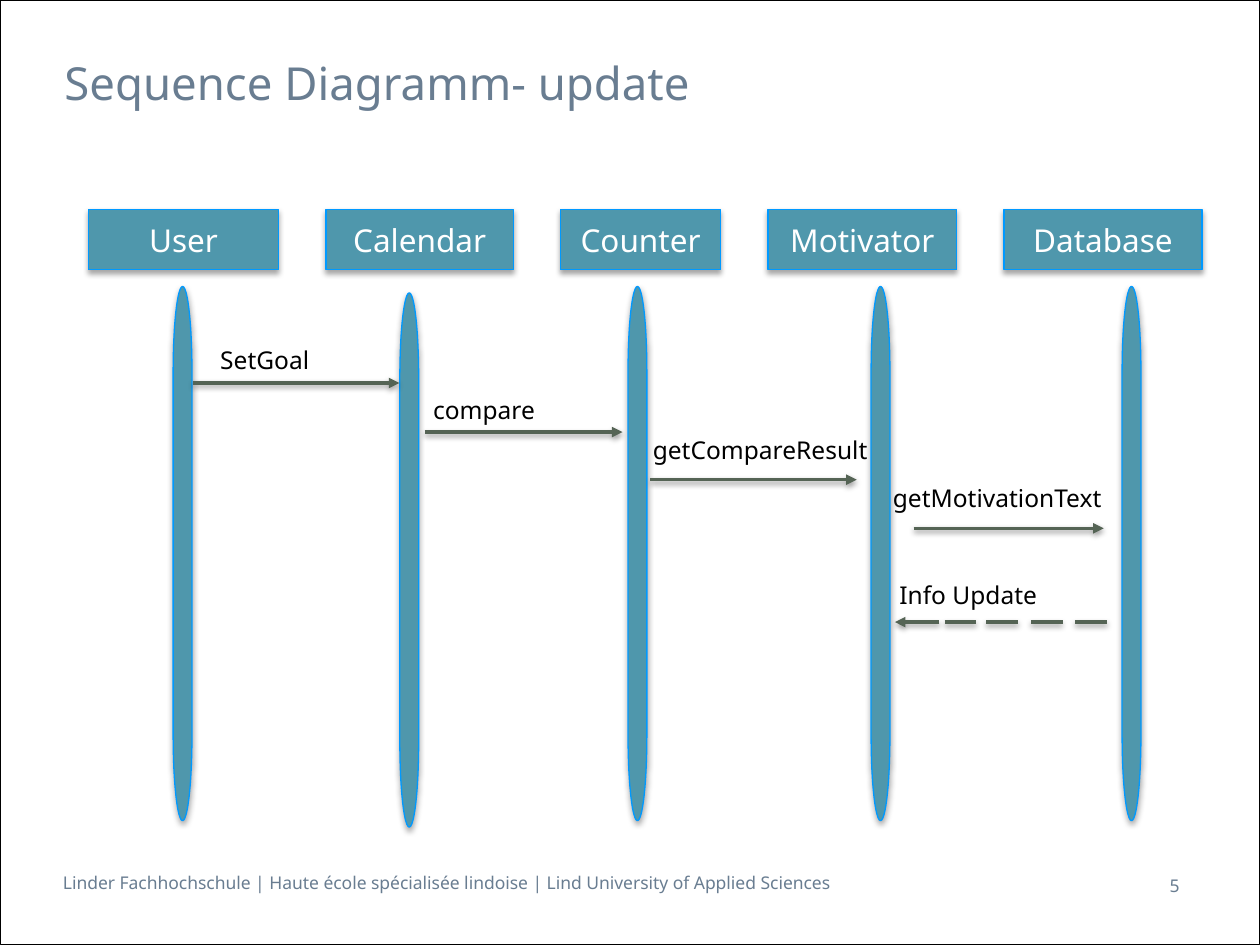
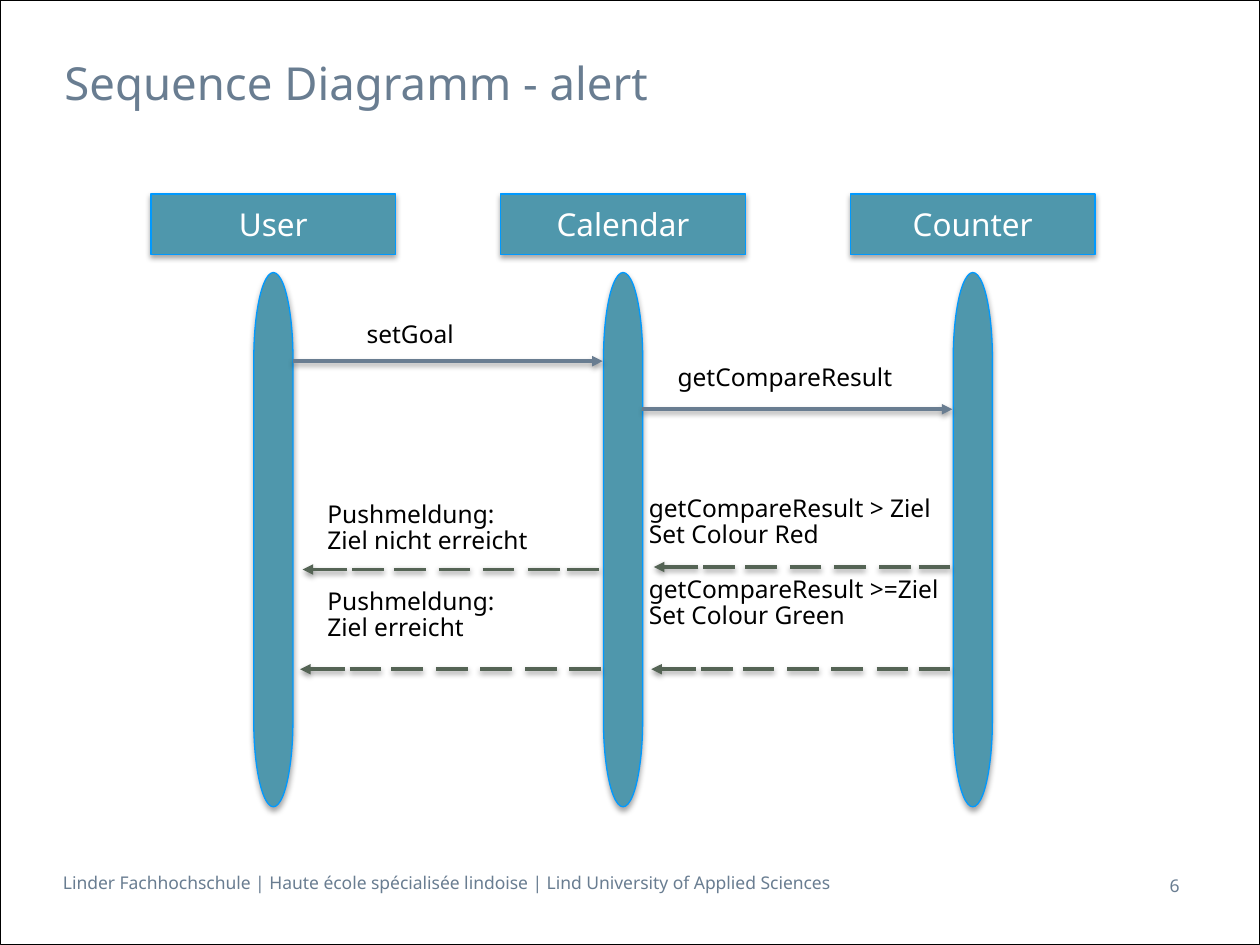
"""Build two sequence diagram slides, one for the update and one for the alert."""
from dataclasses import dataclass
from typing import Optional

from lxml import etree
from pptx import Presentation
from pptx import util as u
from pptx.dml.color import RGBColor
from pptx.enum import shapes, text
from pptx.oxml import ns

SLATE = RGBColor(0x69, 0x7D, 0x91)
TEAL = RGBColor(0x4F, 0x97, 0xAC)
BRIGHT_BLUE = RGBColor(0x00, 0x99, 0xFF)
MOSS = RGBColor(0x55, 0x64, 0x55)
BLACK = RGBColor(0x00, 0x00, 0x00)
WHITE = RGBColor(0xFF, 0xFF, 0xFF)

FONT = "Noto Sans"
FOOTER = ("Linder Fachhochschule | Haute école spécialisée lindoise | "
          "Lind University of Applied Sciences")
PAGE_WIDTH, PAGE_HEIGHT = 25.4, 19.05
HEADER_HEIGHT = 1.22
LIFELINE_LENGTH = 10.77
TIGHT = 0.89
ARROW_LENGTH, DASH_LENGTH = 0.9, 0.64
DASH_OFFSETS = (1.0, 1.84, 2.74, 3.63, 4.54)


@dataclass(frozen=True)
class Participant:
    name: str
    left: float
    width: float
    axis: float
    middle: float


@dataclass(frozen=True)
class Call:
    start: float
    end: float
    y: float


@dataclass(frozen=True)
class Reply:
    tip: float
    y: float
    last_dash: Optional[float] = None
    dashes: int = 5


@dataclass(frozen=True)
class Label:
    lines: tuple[str, ...]
    left: float
    top: float
    width: float


@dataclass(frozen=True)
class Diagram:
    title: str
    number: int
    header_top: float
    thickness: float
    call_colour: RGBColor
    participants: tuple[Participant, ...]
    calls: tuple[Call, ...]
    replies: tuple[Reply, ...]
    labels: tuple[Label, ...]


def write(frame, lines: tuple[str, ...], size: float, colour: RGBColor,
          align=text.PP_ALIGN.LEFT, spacing: float = 1.0) -> None:
    """Write each line as a formatted paragraph."""
    frame.word_wrap = True
    for index, line in enumerate(lines):
        paragraph = frame.add_paragraph() if index else frame.paragraphs[0]
        paragraph.alignment = align
        paragraph.line_spacing = spacing
        run = paragraph.add_run()
        run.text = line
        run.font.size = u.Pt(size)
        run.font.name = FONT
        run.font.color.rgb = colour


def add_shadow(effects, distance: int, opacity: int) -> None:
    """Put a soft downward shadow into an effect list."""
    shadow = etree.SubElement(effects, ns.qn("a:outerShdw"), blurRad="40000",
                              dist=str(distance), dir="5400000", rotWithShape="0")
    colour = etree.SubElement(shadow, ns.qn("a:srgbClr"), val=str(BLACK))
    etree.SubElement(colour, ns.qn("a:alpha"), val=str(opacity * 1000))


def add_block(slide, kind, left: float, top: float, width: float, height: float):
    """Add a teal shape with a bright outline and a shadow."""
    block = slide.shapes.add_shape(kind, u.Cm(left), u.Cm(top), u.Cm(width), u.Cm(height))
    block.fill.solid()
    block.fill.fore_color.rgb = TEAL
    block.line.color.rgb = BRIGHT_BLUE
    block.line.width = u.Pt(0.75)
    block.shadow.inherit = False
    add_shadow(block._element.spPr.find(ns.qn("a:effectLst")), 23000, 35)
    return block


def add_stroke(slide, start: float, end: float, y: float, colour: RGBColor,
               arrow: bool = False) -> None:
    """Draw a horizontal stroke, with an arrowhead at its end if asked."""
    stroke = slide.shapes.add_connector(shapes.MSO_CONNECTOR.STRAIGHT,
                                        u.Cm(start), u.Cm(y), u.Cm(end), u.Cm(y))
    stroke.line.color.rgb = colour
    stroke.line.width = u.Pt(2)
    if arrow:
        etree.SubElement(stroke.line._get_or_add_ln(), ns.qn("a:tailEnd"), type="triangle")
    add_shadow(etree.SubElement(stroke._element.spPr, ns.qn("a:effectLst")), 20000, 38)


def add_participant(slide, participant: Participant, top: float, thickness: float) -> None:
    """Draw a participant's header and its lifeline."""
    header = add_block(slide, shapes.MSO_SHAPE.RECTANGLE, participant.left, top,
                       participant.width, HEADER_HEIGHT)
    header.text_frame.vertical_anchor = text.MSO_ANCHOR.MIDDLE
    write(header.text_frame, (participant.name,), 18, WHITE, text.PP_ALIGN.CENTER)
    lifeline = add_block(slide, shapes.MSO_SHAPE.FLOWCHART_TERMINATOR,
                         participant.axis - LIFELINE_LENGTH / 2,
                         participant.middle - thickness / 2, LIFELINE_LENGTH, thickness)
    lifeline.rotation = 90


def add_reply(slide, reply: Reply) -> None:
    """Draw a dashed reply that points left."""
    starts = [reply.tip + offset for offset in DASH_OFFSETS[:reply.dashes]]
    if reply.last_dash is not None:
        starts.append(reply.last_dash)
    for start in starts:
        add_stroke(slide, start, start + DASH_LENGTH, reply.y, MOSS)
    add_stroke(slide, reply.tip + ARROW_LENGTH, reply.tip, reply.y, MOSS, arrow=True)


def add_label(slide, label: Label) -> None:
    """Add the text of a message."""
    height = 0.25 + 0.6 * len(label.lines)
    box = slide.shapes.add_textbox(u.Cm(label.left), u.Cm(label.top),
                                   u.Cm(label.width), u.Cm(height))
    box.text_frame.auto_size = text.MSO_AUTO_SIZE.SHAPE_TO_FIT_TEXT
    write(box.text_frame, label.lines, 14, BLACK, spacing=TIGHT)


def add_page(slide, title: str, number: int) -> None:
    """Add the frame, title, footer and page number."""
    border = slide.shapes.add_shape(shapes.MSO_SHAPE.RECTANGLE, 0, 0,
                                    u.Cm(PAGE_WIDTH), u.Cm(PAGE_HEIGHT))
    border.fill.background()
    border.line.color.rgb = BLACK
    border.line.width = u.Pt(0.5)
    border.shadow.inherit = False

    heading = slide.shapes.title
    heading.left, heading.top = u.Cm(1.3), u.Cm(0.99)
    heading.width, heading.height = u.Cm(22.5), u.Cm(1.5)
    heading.text_frame.vertical_anchor = text.MSO_ANCHOR.TOP
    heading.text_frame.auto_size = text.MSO_AUTO_SIZE.NONE
    write(heading.text_frame, (title,), 26, SLATE)

    footer = slide.shapes.add_textbox(u.Cm(1.27), u.Cm(17.5), u.Cm(18.57), u.Cm(0.69))
    write(footer.text_frame, (FOOTER,), 10, SLATE, spacing=TIGHT)
    page = slide.shapes.add_textbox(u.Cm(18.8), u.Cm(17.35), u.Cm(4.98), u.Cm(1.02))
    page.text_frame.vertical_anchor = text.MSO_ANCHOR.MIDDLE
    write(page.text_frame, (str(number),), 10, SLATE, text.PP_ALIGN.RIGHT)
    for part in (heading, footer):
        part.text_frame.margin_left = 0
    for part in (heading, footer, page):
        part.text_frame.margin_right = 0


def add_diagram(deck, diagram: Diagram) -> None:
    """Add one slide with its sequence diagram."""
    slide = deck.slides.add_slide(deck.slide_layouts[5])
    add_page(slide, diagram.title, diagram.number)
    for participant in diagram.participants:
        add_participant(slide, participant, diagram.header_top, diagram.thickness)
    for call in diagram.calls:
        add_stroke(slide, call.start, call.end, call.y, diagram.call_colour, arrow=True)
    for reply in diagram.replies:
        add_reply(slide, reply)
    for label in diagram.labels:
        add_label(slide, label)


def update_participants() -> tuple[Participant, ...]:
    """Place headers of differing widths with equal gaps."""
    left, gap = 1.78, 0.95
    placed = []
    for name, width, axis, middle in (
        ("User", 3.84, 3.68, 11.16),
        ("Calendar", 3.78, 8.25, 11.29),
        ("Counter", 3.23, 12.85, 11.16),
        ("Motivator", 3.81, 17.75, 11.16),
        ("Database", 3.99, 22.81, 11.16),
    ):
        placed.append(Participant(name, left, width, axis, middle))
        left += width + gap
    return tuple(placed)


def alert_participants() -> tuple[Participant, ...]:
    """Place equal headers centred over their lifelines."""
    width, first_axis, step = 4.93, 5.51, 7.05
    axes = [first_axis + step * index for index in range(3)]
    return tuple(Participant(name, axis - width / 2, width, axis, 10.88)
                 for name, axis in zip(("User", "Calendar", "Counter"), axes))


UPDATE = Diagram(
    "Sequence Diagramm- update", 5, 4.22, 0.38, MOSS, update_participants(),
    calls=(
        Call(3.89, 8.05, 7.72),
        Call(8.56, 12.55, 8.71),
        Call(13.11, 17.27, 9.67),
        Call(18.42, 22.25, 10.65),
    ),
    replies=(Reply(18.04, 12.54, dashes=4),),
    labels=(
        Label(("SetGoal",), 4.19, 6.91, 4.11),
        Label(("compare",), 8.48, 7.92, 4.11),
        Label(("getCompareResult",), 12.91, 8.71, 5.18),
        Label(("getMotivationText",), 17.75, 9.68, 5.28),
        Label(("Info Update",), 17.88, 11.63, 5.28),
    ),
)

ALERT = Diagram(
    "Sequence Diagramm - alert", 6, 3.91, 0.79, SLATE, alert_participants(),
    calls=(Call(5.9, 12.15, 7.28), Call(12.95, 19.2, 8.25)),
    replies=(
        Reply(13.18, 11.43, 18.52),
        Reply(13.13, 13.49, 18.52),
        Reply(6.1, 11.48, 11.43),
        Reply(6.05, 13.49, 11.48),
    ),
    labels=(
        Label(("setGoal",), 7.14, 6.38, 4.11),
        Label(("getCompareResult",), 13.41, 7.24, 5.33),
        Label(("Pushmeldung:", "Ziel nicht erreicht"), 6.35, 10.01, 5.28),
        Label(("Pushmeldung:", "Ziel erreicht"), 6.35, 11.76, 5.28),
        Label(("getCompareResult > Ziel", "Set Colour Red"), 12.83, 9.88, 6.65),
        Label(("getCompareResult >=Ziel", "Set Colour Green"), 12.83, 11.51, 6.65),
    ),
)


def main() -> None:
    """Build and save the presentation."""
    deck = Presentation()
    deck.slide_width, deck.slide_height = u.Cm(PAGE_WIDTH), u.Cm(PAGE_HEIGHT)
    for diagram in (UPDATE, ALERT):
        add_diagram(deck, diagram)
    deck.save("out.pptx")


main()
